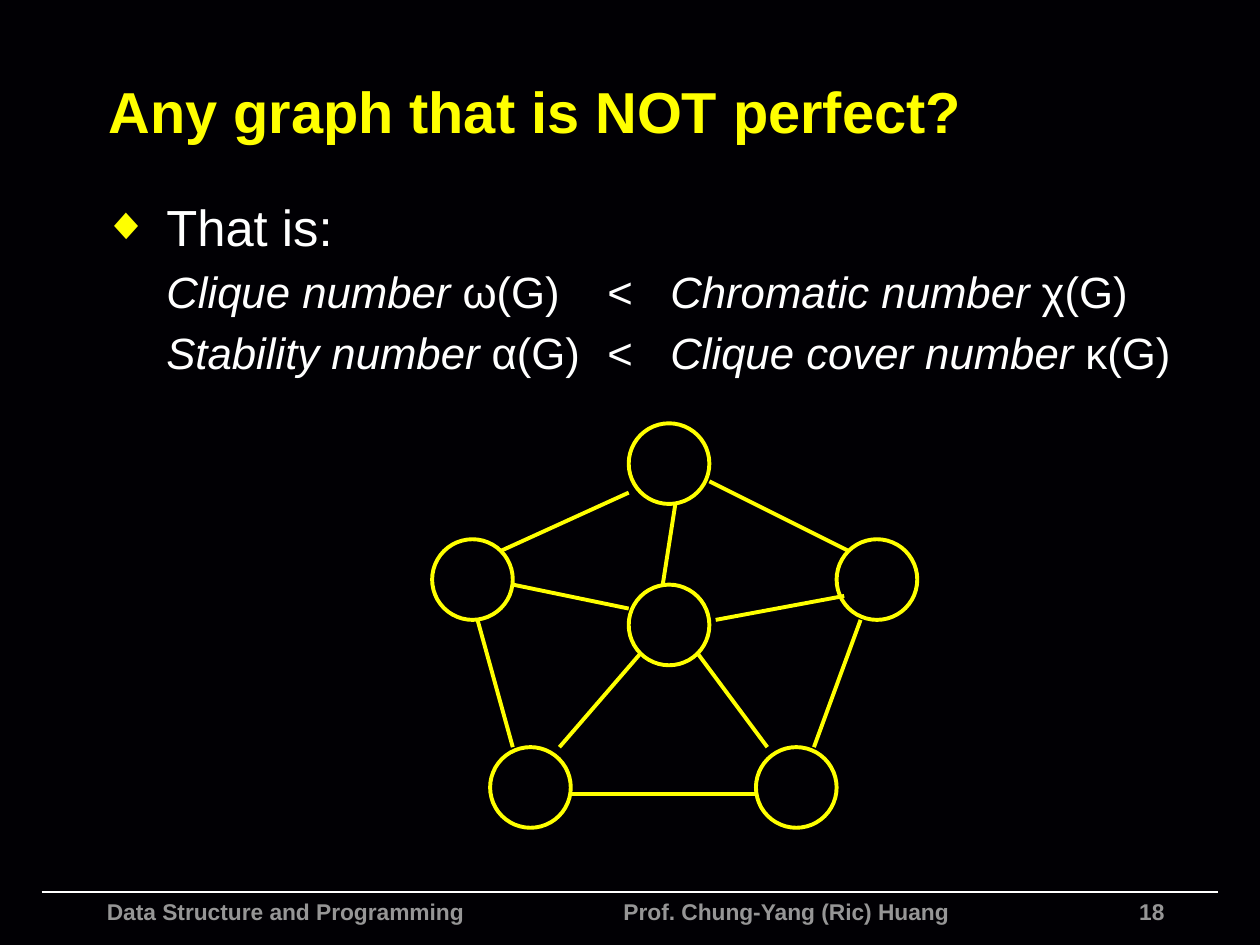
"""Build the slide about graphs that are not perfect."""
from lxml import etree
from pptx import Presentation
from pptx import util as u
from pptx.dml.color import RGBColor
from pptx.enum import shapes, text
from pptx.oxml import ns

YELLOW, WHITE, GRAY, BLACK = "FFFF00", "FFFFFF", "969696", "010004"
NODE_SIZE = 0.64
NODES = [(4.99, 3.36), (6.64, 4.28), (6, 5.93),
         (3.89, 5.93), (3.43, 4.28), (4.99, 4.64)]
RIM = [(3.98, 4.37, 4.99, 3.91), (5.63, 3.82, 6.73, 4.37),
       (6.83, 4.92, 6.46, 5.93), (4.53, 6.3, 6, 6.3),
       (3.79, 4.92, 4.07, 5.93)]
SPOKES = [(4.07, 4.64, 4.99, 4.83), (5.36, 4, 5.26, 4.64),
          (6.7, 4.73, 5.68, 4.92), (5.08, 5.19, 4.44, 5.93),
          (5.54, 5.19, 6.09, 5.93)]
COMPARISONS = [("Clique number ", "ω(G)", "Chromatic number ", "χ(G)"),
               ("Stability number ", "α(G)", "Clique cover number ", "κ(G)")]
COLUMN_STOPS = (4, 4.49)


def color(value):
    """Turn a hex string into a colour."""
    return RGBColor.from_string(value)


def add_text(paragraph, content, *, size, fill=WHITE, bold=False, italic=False):
    """Add one formatted run to a paragraph."""
    run = paragraph.add_run()
    run.text = content
    font = run.font
    font.name, font.size = "Arial", u.Pt(size)
    font.bold, font.italic = bold, italic
    font.color.rgb = color(fill)


def add_child(parent, tag, **attributes):
    """Append a DrawingML element with the given attributes."""
    child = etree.SubElement(parent, ns.qn(tag))
    for name, value in attributes.items():
        child.set(name, str(value))
    return child


def set_indent(paragraph, first, bullet=None, stops=()):
    """Set the indent, the bullet and the tab stops of a paragraph."""
    properties = paragraph._p.get_or_add_pPr()
    properties.set("marL", str(u.Inches(0.5)))
    properties.set("indent", str(u.Inches(first)))
    if bullet:
        add_child(add_child(properties, "a:buClr"), "a:srgbClr", val=YELLOW)
        add_child(properties, "a:buSzPct", val=90000)
        add_child(properties, "a:buFont", typeface="Arial")
        add_child(properties, "a:buChar", char=bullet)
    else:
        add_child(properties, "a:buNone")
    if stops:
        tabs = add_child(properties, "a:tabLst")
        for stop in stops:
            add_child(tabs, "a:tab", pos=u.Inches(stop), algn="l")


class GraphSlide:
    """Hold the style and the current slide."""

    def __init__(self, presentation):
        """Add a slide with a dark background."""
        self.slide = presentation.slides.add_slide(presentation.slide_layouts[1])
        background = self.slide.background.fill
        background.solid()
        background.fore_color.rgb = color(BLACK)

    def place(self, shape, left, top, width, height, anchor):
        """Position a text shape and return its first paragraph."""
        shape.left, shape.top = u.Inches(left), u.Inches(top)
        shape.width, shape.height = u.Inches(width), u.Inches(height)
        frame = shape.text_frame
        frame.word_wrap = True
        frame.auto_size = text.MSO_AUTO_SIZE.NONE
        frame.vertical_anchor = anchor
        return frame.paragraphs[0]

    def title(self, content):
        """Fill the title placeholder."""
        paragraph = self.place(self.slide.shapes.title, 0.76, 0.37, 8.84, 1.01,
                               text.MSO_ANCHOR.MIDDLE)
        paragraph.alignment = text.PP_ALIGN.LEFT
        add_text(paragraph, content, size=33, fill=YELLOW, bold=True)

    def body(self, heading, comparisons):
        """Fill the body placeholder with a bullet and its comparisons."""
        body = self.slide.placeholders[1]
        paragraph = self.place(body, 0.72, 1.5, 8.77, 5.17, text.MSO_ANCHOR.TOP)
        set_indent(paragraph, -0.5, bullet="◆")
        add_text(paragraph, heading, size=29)
        for smaller, symbol, larger, other_symbol in comparisons:
            paragraph = body.text_frame.add_paragraph()
            set_indent(paragraph, 0, stops=COLUMN_STOPS)
            add_text(paragraph, smaller, size=25, italic=True)
            add_text(paragraph, f"{symbol}\t<\t", size=25)
            add_text(paragraph, larger, size=25, italic=True)
            add_text(paragraph, other_symbol, size=25)

    def footer(self, content, left, width, alignment=text.PP_ALIGN.LEFT):
        """Add one footer text."""
        box = self.slide.shapes.add_textbox(0, 0, 0, 0)
        paragraph = self.place(box, left, 7.08, width, 0.36, text.MSO_ANCHOR.TOP)
        paragraph.alignment = alignment
        add_text(paragraph, content, size=13, fill=GRAY, bold=True)

    def line(self, ends, stroke=YELLOW, width=2.25, parent=None):
        """Add a straight line on the slide or in a group."""
        connector = (parent or self.slide).shapes.add_connector(
            shapes.MSO_CONNECTOR.STRAIGHT, *map(u.Inches, ends))
        connector.line.color.rgb = color(stroke)
        connector.line.width = u.Pt(width)
        add_child(connector._element.spPr, "a:effectLst")

    def node(self, left, top, parent):
        """Add a hollow graph node to a group."""
        node = parent.shapes.add_shape(
            shapes.MSO_SHAPE.OVAL, u.Inches(left), u.Inches(top),
            u.Inches(NODE_SIZE), u.Inches(NODE_SIZE))
        node.shadow.inherit = False
        node.fill.background()
        node.line.color.rgb = color(YELLOW)
        node.line.width = u.Pt(2.25)

    def graph(self, nodes, edges):
        """Add the graph as one group."""
        group = self.slide.shapes.add_group_shape()
        for left, top in nodes:
            self.node(left, top, group)
        for ends in edges:
            self.line(ends, parent=group)


def main():
    """Build and save the presentation."""
    presentation = Presentation()
    presentation.slide_width, presentation.slide_height = u.Inches(10), u.Inches(7.5)
    page = GraphSlide(presentation)
    page.line((0.33, 7.08, 9.67, 7.08), stroke=WHITE, width=1)
    page.footer("Data Structure and Programming", 0.75, 3.6)
    page.footer("Prof. Chung-Yang (Ric) Huang", 4.85, 3.14)
    page.footer("18", 8.34, 1, text.PP_ALIGN.RIGHT)
    page.title("Any graph that is NOT perfect?")
    page.body("That is:", COMPARISONS)
    page.graph(NODES, RIM + SPOKES)
    presentation.save("out.pptx")


main()
